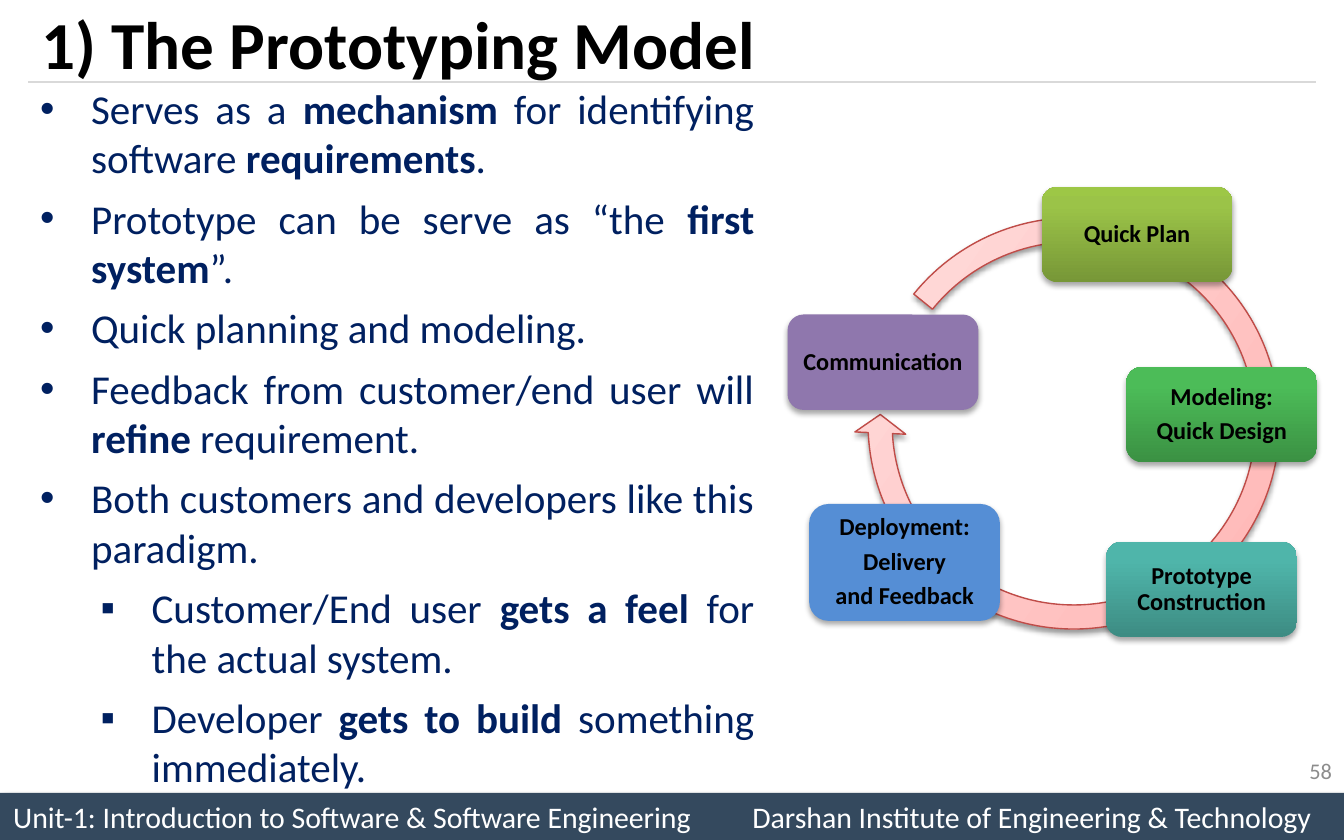
from copy import deepcopy

from lxml.etree import SubElement
from pptx import Presentation
from pptx.dml.color import RGBColor
from pptx.enum.shapes import MSO_CONNECTOR as Connector, MSO_SHAPE as Shape
from pptx.enum.text import MSO_ANCHOR as Anchor, PP_ALIGN as Align
from pptx.oxml.ns import qn
from pptx.util import Inches, Pt

FONT = "Calibri"
BLACK = RGBColor(0x00, 0x00, 0x00)
WHITE = RGBColor(0xFF, 0xFF, 0xFF)
NAVY = RGBColor(0x00, 0x20, 0x60)
SLATE = RGBColor(0x34, 0x49, 0x5E)
RULE_GRAY = RGBColor(0xD9, 0xD9, 0xD9)
NUMBER_GRAY = RGBColor(0x8C, 0x8C, 0x8C)
ARROW_LINE = RGBColor(0xBF, 0x4C, 0x48)
PINKS = [RGBColor(0xFF, 0xA6, 0xA5), RGBColor(0xFF, 0xC0, 0xBF), RGBColor(0xFF, 0xE7, 0xE7)]
LIMES = [RGBColor(0x77, 0x97, 0x37), RGBColor(0x9B, 0xC3, 0x48), RGBColor(0x9D, 0xC7, 0x46)]
GREENS = [RGBColor(0x3B, 0x91, 0x43), RGBColor(0x4C, 0xBC, 0x58), RGBColor(0x4A, 0xBF, 0x56)]
TEALS = [RGBColor(0x3D, 0x8C, 0x83), RGBColor(0x4F, 0xB5, 0xAA), RGBColor(0x4E, 0xB8, 0xAC)]
BLUE = [RGBColor(0x55, 0x8E, 0xD5)]
PURPLE = [RGBColor(0x8F, 0x77, 0xAD)]

TITLE = "1) The Prototyping Model"
FOOTER = "Unit-1: Introduction to Software & Software Engineering\tDarshan Institute of Engineering & Technology"
PAGE = "58"

# Runs alternate between regular and bold.
POINTS = [
    (0, ["Serves as a ", "mechanism ", "for identifying software ", "requirements", "."]),
    (0, ["Prototype can be serve as “the ", "first system", "”."]),
    (0, ["Quick planning and modeling."]),
    (0, ["Feedback from customer/end user will ", "refine", " requirement."]),
    (0, ["Both customers and developers like this paradigm."]),
    (1, ["Customer/End user ", "gets a feel ", "for the actual system."]),
    (1, ["Developer ", "gets to build ", "something immediately."]),
]
BULLETS = [("•", 0.38), ("▪", 0.83)]
HANGING = 0.38

STAGE_WIDTH = 1.42
STAGES = [
    (["Quick Plan"], 7.75, 1.39, 0.71, LIMES),
    (["Modeling:", "Quick Design"], 8.38, 2.73, 0.71, GREENS),
    (["Prototype Construction"], 8.23, 4.03, 0.71, TEALS),
    (["Deployment:", "Delivery", "and Feedback"], 6.02, 3.75, 0.87, BLUE),
    (["Communication"], 5.86, 2.34, 0.71, PURPLE),
]
ARROW_ADJUSTMENTS = [0.055, 3.307, 139.274, 164.363, 0.058]


def box_of(*lengths):
    return [Inches(length) for length in lengths]


def add_text(shape, paragraphs, size, color, bold=False, align=Align.LEFT, anchor=Anchor.MIDDLE,
             wrap=True, after=0, spacing=None, inset=None):
    frame = shape.text_frame
    frame.word_wrap = wrap
    frame.vertical_anchor = anchor
    if inset is not None:
        frame.margin_left = frame.margin_right = Inches(inset)
        frame.margin_top = frame.margin_bottom = Inches(inset)
    for index, runs in enumerate(paragraphs):
        paragraph = frame.paragraphs[0] if index == 0 else frame.add_paragraph()
        paragraph.alignment = align
        paragraph.space_after = Pt(after)
        paragraph.line_spacing = spacing
        for position, text in enumerate(runs):
            run = paragraph.add_run()
            run.text = text
            run.font.name = FONT
            run.font.size = Pt(size)
            run.font.bold = bold or position % 2 == 1
            run.font.color.rgb = color
    return frame


def add_bullet(paragraph, level):
    character, margin = BULLETS[level]
    paragraph.level = level
    properties = paragraph._p.get_or_add_pPr()
    properties.set("marL", str(Inches(margin)))
    properties.set("indent", str(-Inches(HANGING)))
    SubElement(properties, qn("a:buFont"), typeface="Arial")
    SubElement(properties, qn("a:buChar"), char=character)


def paint(shape, colors, positions=(0, 0.8, 1)):
    fill = shape.fill
    if len(colors) == 1:
        fill.solid()
        fill.fore_color.rgb = colors[0]
        return
    fill.gradient()
    fill.gradient_angle = 90
    stop_list = shape._element.spPr.find(".//" + qn("a:gsLst"))
    stop_list.append(deepcopy(stop_list[0]))
    for stop, color, position in zip(fill.gradient_stops, colors, positions):
        stop.color.rgb = color
        stop.position = position


def add_shadow(shape, opacity, blur, distance, direction):
    shape.shadow.inherit = False
    effects = shape._element.spPr.find(qn("a:effectLst"))
    shadow = SubElement(effects, qn("a:outerShdw"), blurRad=str(Pt(blur)), dist=str(Pt(distance)),
                        dir=str(direction * 60000), rotWithShape="0")
    color = SubElement(shadow, qn("a:srgbClr"), val=str(BLACK))
    SubElement(color, qn("a:alpha"), val=str(opacity * 1000))


def add_frame(slide):
    footer = slide.shapes.add_shape(Shape.RECTANGLE, *box_of(0, 5.9, 10, 0.35))
    paint(footer, [SLATE])
    footer.line.fill.background()
    add_shadow(footer, 40, 4, 3, 45)
    frame = add_text(footer, [[FOOTER]], 16, WHITE)
    tabs = SubElement(frame.paragraphs[0]._p.get_or_add_pPr(), qn("a:tabLst"))
    SubElement(tabs, qn("a:tab"), pos=str(Inches(5.5)), algn="l")

    rule = slide.shapes.add_connector(Connector.STRAIGHT, *box_of(0.21, 0.61, 9.79, 0.61))
    rule.line.color.rgb = RULE_GRAY
    rule.line.width = Pt(0.75)
    SubElement(rule._element.spPr, qn("a:effectLst"))


def add_content(slide):
    points = slide.shapes.add_textbox(*box_of(0.2, 0.57, 5.51, 5.42))
    frame = add_text(points, [runs for _, runs in POINTS], 22, NAVY,
                     align=Align.JUSTIFY, anchor=Anchor.TOP, after=6)
    for paragraph, (level, _) in zip(frame.paragraphs, POINTS):
        add_bullet(paragraph, level)
    title = slide.shapes.add_textbox(*box_of(0.21, -0.05, 9.58, 0.74))
    add_text(title, [[TITLE]], 36, BLACK, bold=True, wrap=False)
    number = slide.shapes.add_textbox(*box_of(7.68, 5.57, 2.33, 0.33))
    add_text(number, [[PAGE]], 12, NUMBER_GRAY, align=Align.RIGHT)


def add_cycle(slide):
    arrow = slide.shapes.add_shape(Shape.CIRCULAR_ARROW, *box_of(6.36, 1.52, 3.26, 3.26))
    for index, value in enumerate(ARROW_ADJUSTMENTS):
        arrow.adjustments[index] = value
    arrow.rotation = 305
    paint(arrow, PINKS, (0, 0.35, 1))
    arrow.line.color.rgb = ARROW_LINE
    arrow.line.width = Pt(0.75)
    add_shadow(arrow, 38, 3.1, 1.6, 90)

    for lines, left, top, height, colors in STAGES:
        stage = slide.shapes.add_shape(Shape.ROUNDED_RECTANGLE, *box_of(left, top, STAGE_WIDTH, height))
        paint(stage, colors)
        stage.line.fill.background()
        add_shadow(stage, 35, 3.1, 1.8, 90)
        add_text(stage, [[line] for line in lines], 13, BLACK, bold=True, align=Align.CENTER,
                 after=4.5, spacing=0.9, inset=0.05)


def main():
    presentation = Presentation()
    presentation.slide_width, presentation.slide_height = box_of(10, 6.25)
    slide = presentation.slides.add_slide(presentation.slide_layouts[6])
    add_frame(slide)
    add_content(slide)
    add_cycle(slide)
    presentation.save("out.pptx")


if __name__ == "__main__":
    main()
